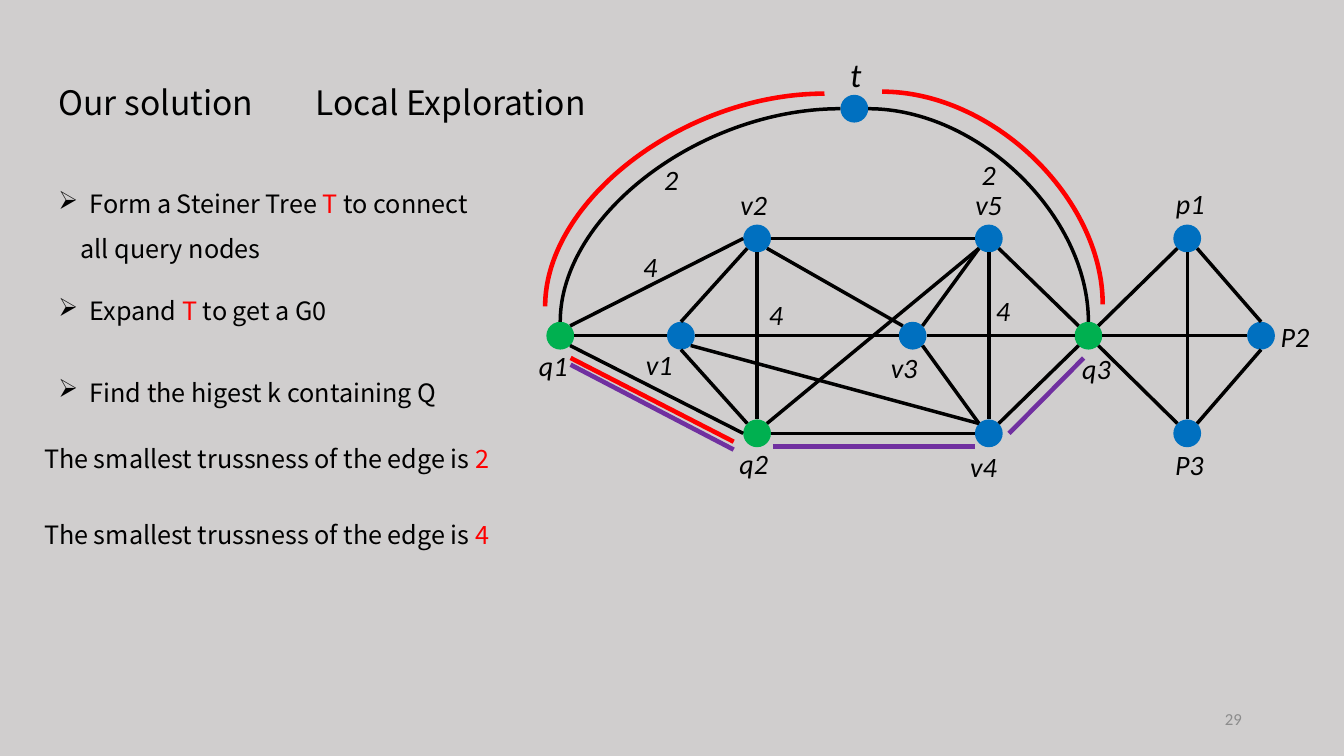
"""Build the Steiner tree slide with its weighted query graph."""
import math
from dataclasses import dataclass

import lxml.etree
import pptx
import pptx.dml.color
import pptx.enum.shapes
import pptx.enum.text
import pptx.oxml.ns
import pptx.util
from pptx.util import Cm

TEXT_FONT = "Noto Sans CJK SC"
BLACK, RED, PURPLE, GREEN, BLUE = "000000", "FF0000", "7030A0", "00B050", "0070C0"
RADIUS = 0.35
TOP_ROW, MIDDLE_ROW, BOTTOM_ROW = 6.01, 8.46, 10.92
LEFT = pptx.enum.text.PP_ALIGN.LEFT
CENTER = pptx.enum.text.PP_ALIGN.CENTER
RIGHT = pptx.enum.text.PP_ALIGN.RIGHT
DIRECTIONS = {name: math.radians(45 * step) for step, name in
              enumerate(("e", "se", "s", "sw", "w", "nw", "n", "ne"))}


@dataclass
class Node:
    name: str
    x: float
    y: float
    label_left: float
    label_top: float
    fill: str = BLUE
    label_size: float = 20

    def site(self, direction: str) -> tuple[float, float]:
        angle = DIRECTIONS[direction]
        return self.x + RADIUS * math.cos(angle), self.y + RADIUS * math.sin(angle)


@dataclass
class Trail:
    start: tuple[float, float]
    end: tuple[float, float]
    color: str
    curved: bool = False


@dataclass
class Line:
    runs: list[tuple[str, str]]
    bullet: bool = False
    indent: float = 0


@dataclass
class Block:
    left: float
    top: float
    width: float
    height: float
    lines: list[Line]
    size: float = 18


NODES = [
    Node("q1", 14.12, MIDDLE_ROW, 13.21, 8.66, GREEN),
    Node("q2", 19.08, BOTTOM_ROW, 18.26, 11.13, GREEN),
    Node("v4", 24.92, BOTTOM_ROW, 24.05, 11.2),
    Node("v1", 17.16, MIDDLE_ROW, 15.88, 8.64),
    Node("v3", 23, MIDDLE_ROW, 22.05, 8.71),
    Node("q3", 27.43, MIDDLE_ROW, 26.9, 8.74, GREEN),
    Node("v5", 24.92, TOP_ROW, 24.18, 4.6),
    Node("v2", 19.08, TOP_ROW, 18.26, 4.6),
    Node("t", 21.53, 2.74, 20.83, 1.24, label_size=24),
    Node("p1", 29.92, TOP_ROW, 29.26, 4.57),
    Node("P2", 31.78, MIDDLE_ROW, 31.9, 7.92),
    Node("P3", 29.92, BOTTOM_ROW, 29.24, 11.15),
]
EDGES = """q1 e v1 w, v1 e v3 w, v3 e q3 w, q3 e P2 w, p1 se P2 n, p1 sw q3 ne,
p1 s P3 n, P2 s P3 ne, q3 se P3 nw, q3 sw v4 ne, v5 s v4 n, v5 se q3 nw,
v5 sw v3 ne, v3 se v4 nw, v2 s q2 n, v2 sw v1 n, v1 s q2 nw, v2 w q1 ne,
q1 se q2 w, q2 e v4 w, v2 e v5 w, v1 se v4 nw, v5 sw q2 ne, v2 se v3 nw,
t w q1 n, t e q3 n"""
WEIGHTS = [("2", 16.18, 3.96), ("2", 24.18, 3.84), ("4", 15.65, 6.15),
           ("4", 18.82, 7.37), ("4", 24.54, 7.26)]
TRAILS = [
    Trail((14.38, 9.19), (18.49, 11.33), PURPLE),
    Trail((14.38, 9.02), (18.49, 11.13), RED),
    Trail((20.78, 2.36), (13.74, 7.72), RED, True),
    Trail((22.23, 2.31), (27.79, 7.67), RED, True),
    Trail((19.48, 11.25), (24.56, 11.25), PURPLE),
    Trail((25.43, 10.92), (27.31, 9.02), PURPLE),
]
TITLE = Block(1.22, 1.42, 5.61, 1.63, [Line([("Our solution", BLACK)])], 24)
TRUSSNESS = "The smallest trussness of the edge is "
BLOCKS = [
    Block(7.7, 1.42, 7.52, 1.63, [Line([("Local Exploration", BLACK)])], 24),
    Block(1.22, 4.24, 11.28, 2.57, [
        Line([("Form a Steiner Tree ", BLACK), ("T", RED), (" to connect", BLACK)], True),
        Line([("all query nodes", BLACK)], indent=0.56)]),
    Block(1.22, 6.93, 7.75, 1.42, [
        Line([("Expand ", BLACK), ("T", RED), (" to get a G0", BLACK)], True)]),
    Block(1.22, 8.99, 10.59, 1.42, [
        Line([("Find the higest k containing Q", BLACK)], True)]),
    Block(0.86, 10.67, 12.32, 1.27, [Line([(TRUSSNESS, BLACK), ("2", RED)])]),
    Block(0.86, 12.57, 12.32, 1.42, [Line([(TRUSSNESS, BLACK), ("4", RED)])]),
]


def color(value: str) -> pptx.dml.color.RGBColor:
    return pptx.dml.color.RGBColor.from_string(value)


def apply(target, **values) -> None:
    for name, value in values.items():
        setattr(target, name, value)


def add_run(paragraph, text: str, fill: str, **font) -> None:
    run = paragraph.add_run()
    run.text = text
    apply(run.font, **font)
    run.font.color.rgb = color(fill)


def indent_line(paragraph, line: Line) -> None:
    properties = paragraph._p.get_or_add_pPr()
    margin, first = (0.79, -0.79) if line.bullet else (line.indent, 0)
    properties.set("marL", str(Cm(margin)))
    properties.set("indent", str(Cm(first)))
    if line.bullet:
        bullet = lxml.etree.SubElement(properties, pptx.oxml.ns.qn("a:buChar"))
        bullet.set("char", "➢")


def fill_block(shape, block: Block) -> None:
    apply(shape, left=Cm(block.left), top=Cm(block.top),
          width=Cm(block.width), height=Cm(block.height))
    frame = shape.text_frame
    apply(frame, word_wrap=False, vertical_anchor=pptx.enum.text.MSO_ANCHOR.TOP,
          auto_size=pptx.enum.text.MSO_AUTO_SIZE.SHAPE_TO_FIT_TEXT)
    for index, line in enumerate(block.lines):
        paragraph = frame.add_paragraph() if index else frame.paragraphs[0]
        apply(paragraph, line_spacing=1.5, alignment=LEFT)
        indent_line(paragraph, line)
        for text, fill in line.runs:
            add_run(paragraph, text, fill, name=TEXT_FONT, size=pptx.util.Pt(block.size))


def add_label(slide, text: str, left: float, top: float, size: float = 20,
              width: float = 1.47, height: float = 1.12, fill: str = BLACK,
              italic: bool = True, alignment=CENTER) -> None:
    shape = slide.shapes.add_textbox(Cm(left), Cm(top), Cm(width), Cm(height))
    shape.text_frame.word_wrap = True
    paragraph = shape.text_frame.paragraphs[0]
    paragraph.alignment = alignment
    add_run(paragraph, text, fill, name="Calibri", size=pptx.util.Pt(size), italic=italic)


def add_node(slide, node: Node) -> None:
    shape = slide.shapes.add_shape(
        pptx.enum.shapes.MSO_SHAPE.OVAL, Cm(node.x - RADIUS), Cm(node.y - RADIUS),
        Cm(2 * RADIUS), Cm(2 * RADIUS))
    shape.shadow.inherit = False
    shape.fill.solid()
    shape.fill.fore_color.rgb = color(node.fill)
    shape.line.fill.background()
    add_label(slide, node.name, node.label_left, node.label_top, node.label_size)


def add_trail(slide, trail: Trail, width: float) -> None:
    kinds = pptx.enum.shapes.MSO_CONNECTOR
    connector = slide.shapes.add_connector(
        kinds.CURVE if trail.curved else kinds.STRAIGHT,
        *(Cm(value) for value in trail.start + trail.end))
    connector.line.color.rgb = color(trail.color)
    connector.line.width = pptx.util.Pt(width)
    properties = connector._element.spPr
    lxml.etree.SubElement(properties, pptx.oxml.ns.qn("a:effectLst"))
    if trail.curved:
        properties.find(pptx.oxml.ns.qn("a:prstGeom")).set("prst", "curvedConnector2")


def main() -> None:
    presentation = pptx.Presentation()
    apply(presentation, slide_width=Cm(33.87), slide_height=Cm(19.05))
    slide = presentation.slides.add_slide(presentation.slide_layouts[5])
    slide.background.fill.solid()
    slide.background.fill.fore_color.rgb = color("D0CECE")
    fill_block(slide.shapes.title, TITLE)
    for block in BLOCKS:
        fill_block(slide.shapes.add_textbox(0, 0, 0, 0), block)
    for node in NODES:
        add_node(slide, node)
    nodes = {node.name: node for node in NODES}
    for edge in EDGES.split(","):
        start, leaving, end, arriving = edge.split()
        add_trail(slide, Trail(nodes[start].site(leaving), nodes[end].site(arriving),
                               BLACK, start == "t"), 2.5)
    for text, left, top in WEIGHTS:
        add_label(slide, text, left, top)
    for trail in TRAILS:
        add_trail(slide, trail, 3.25)
    add_label(slide, "29", 23.93, 17.74, 12, 7.62, 1.01, "8C8C8C", False, RIGHT)
    presentation.save("out.pptx")


if __name__ == "__main__":
    main()
